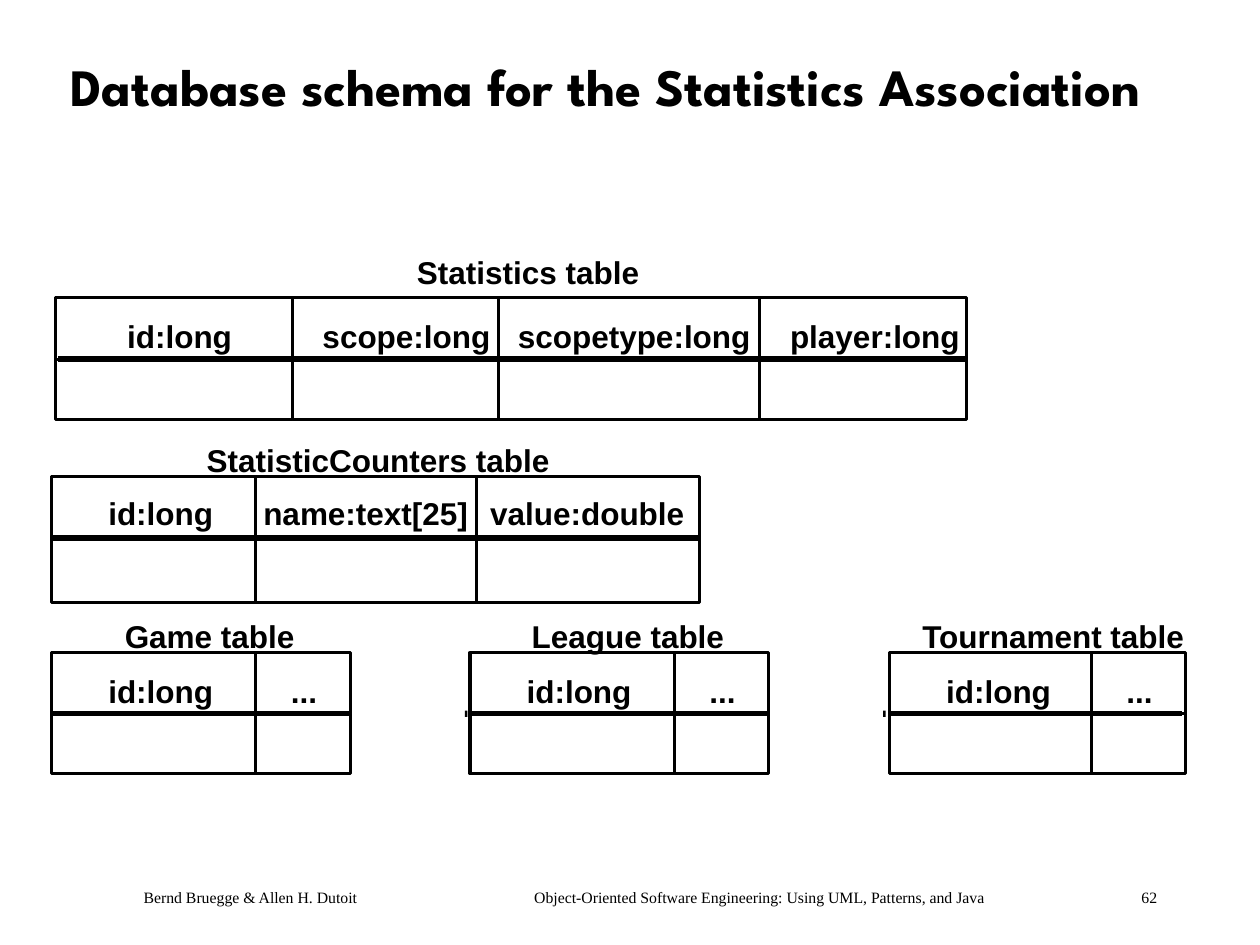
"""Build the slide on the database schema of the Statistics Association."""
from lxml.etree import SubElement
from pptx import Presentation
from pptx.dml.color import RGBColor
from pptx.enum.shapes import MSO_CONNECTOR, MSO_SHAPE
from pptx.enum.text import MSO_ANCHOR, MSO_AUTO_SIZE, PP_ALIGN
from pptx.oxml.ns import qn
from pptx.util import Emu, Pt

EMU_PER_PX = 9144
COLORS = {"ink": "000000", "paper": "FFFFFF"}


def px(length):
    return Emu(length * EMU_PER_PX)


class SchemaSlide:
    def __init__(self, deck):
        self.page = deck.slides.add_slide(deck.slide_layouts[5])
        self.shapes = self.page.shapes
        self.ink = RGBColor.from_string(COLORS["ink"])
        self.page.background.fill.solid()
        self.page.background.fill.fore_color.rgb = RGBColor.from_string(COLORS["paper"])

    def style(self, para, name, size, bold):
        para.alignment = PP_ALIGN.LEFT
        para.font.name = name
        para.font.size = Pt(size)
        para.font.bold = bold
        para.font.color.rgb = self.ink

    def title(self, text, left, top, width, height):
        box = self.shapes.title
        box.left, box.top, box.width, box.height = map(px, (left, top, width, height))
        frame = box.text_frame
        frame.text = text
        frame.vertical_anchor = MSO_ANCHOR.MIDDLE
        frame.auto_size = MSO_AUTO_SIZE.NONE
        para = frame.paragraphs[0]
        para.line_spacing = 0.9
        self.style(para, "League Spartan", 30, True)

    def footer(self, parts, left, top, width, height, indent, stops):
        frame = self.shapes.add_textbox(*map(px, (left, top, width, height))).text_frame
        frame.word_wrap = True
        frame.margin_left = px(indent)
        frame.text = "\t".join(parts)
        para = frame.paragraphs[0]
        tabs = SubElement(para._p.get_or_add_pPr(), qn("a:tabLst"))
        for stop in stops:
            SubElement(tabs, qn("a:tab"), pos=str(px(stop)), algn="l")
        self.style(para, "Times New Roman", 9, False)

    def label(self, text, left, top, width):
        frame = self.shapes.add_textbox(*map(px, (left, top, width, 30))).text_frame
        frame.margin_left = frame.margin_right = 0
        frame.margin_top = frame.margin_bottom = 0
        frame.word_wrap = False
        frame.auto_size = MSO_AUTO_SIZE.SHAPE_TO_FIT_TEXT
        frame.text = text
        self.style(frame.paragraphs[0], "Arial", 18, True)

    def cell(self, left, top, width, height):
        box = self.shapes.add_shape(MSO_SHAPE.RECTANGLE, *map(px, (left, top, width, height)))
        box.shadow.inherit = False
        box.fill.background()
        box.line.color.rgb = self.ink
        box.line.width = Pt(1.75)

    def tick(self, left, top):
        box = self.shapes.add_shape(MSO_SHAPE.RECTANGLE, *map(px, (left, top, 2, 5)))
        box.shadow.inherit = False
        box.fill.solid()
        box.fill.fore_color.rgb = self.ink
        box.line.fill.background()

    def rule(self, start, end, top):
        line = self.shapes.add_connector(MSO_CONNECTOR.STRAIGHT, *map(px, (start, top, end, top)))
        line.line.color.rgb = self.ink
        line.line.width = Pt(3)
        SubElement(line._element.spPr, qn("a:effectLst"))

    def schema(self, caption, left, top, columns, header=49, body=48,
               label_drop=15, rule_start=0, rule_trim=0):
        text, caption_left, caption_rise, caption_width = caption
        self.label(text, caption_left, top - caption_rise, caption_width)
        column_left = left
        for name, width, inset, label_width in columns:
            self.cell(column_left, top, width, header)
            self.cell(column_left, top + header, width, body)
            self.label(name, column_left + inset, top + label_drop, label_width)
            column_left += width
        self.rule(left + rule_start, column_left - rule_trim, top + header)


def main():
    deck = Presentation()
    deck.slide_width, deck.slide_height = px(1000), px(750)
    slide = SchemaSlide(deck)
    slide.footer(
        ["Bernd Bruegge & Allen H. Dutoit",
         "Object-Oriented Software Engineering: Using UML, Patterns, and Java", "62"],
        58, 700, 917, 25, indent=56, stops=(310, 792))
    slide.title("Database schema for the Statistics Association", 46, 24, 892, 94)

    slide.schema(
        ("Statistics table", 331, 35, 180), 44, 236,
        [("id:long", 188, 57, 86), ("scope:long", 164, 24, 136),
         ("scopetype:long", 207, 15, 188), ("player:long", 164, 24, 138)],
        label_drop=16, rule_start=2)
    slide.schema(
        ("StatisticCounters table", 164, 28, 275), 41, 378,
        [("id:long", 162, 45, 86), ("name:text[25]", 175, 6, 166),
         ("value:double", 177, 11, 157)],
        body=51, label_drop=14)

    for text, caption_left, caption_width, left, key_width, trim in (
            ("Game table", 99, 138, 41, 162, 0),
            ("League table", 422, 156, 373, 162, 0),
            ("Tournament table", 732, 210, 706, 160, 3)):
        slide.schema((text, caption_left, 28, caption_width), left, 518,
                     [("id:long", key_width, 45, 86), ("...", 75, 28, 24)],
                     header=48, rule_trim=trim)
    for left in (369, 701):
        slide.tick(left, 564)

    deck.save("out.pptx")


if __name__ == "__main__":
    main()
